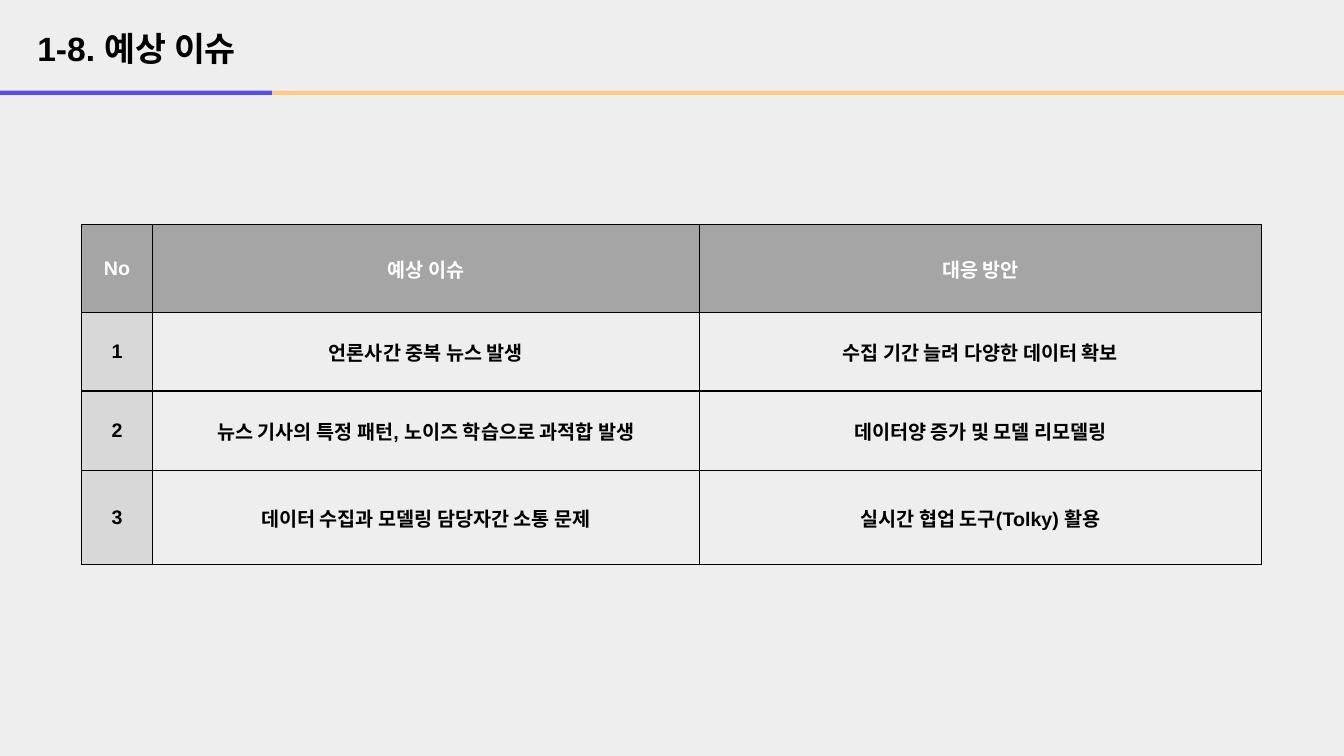
from lxml import etree
from pptx import Presentation
from pptx import util as u
from pptx.dml.color import RGBColor
from pptx.enum import shapes, text
from pptx.oxml import ns

COLORS = {
    "page": "EEEEEE",
    "ink": "000000",
    "header_text": "FFFFFF",
    "header": "A5A5A5",
    "number": "D8D8D8",
    "blue": "4949E8",
    "orange": "FFC785",
}
FONT = "Arial"
COLUMN_WIDTHS = [0.7, 5.43, 5.57]
ROW_HEIGHTS = [0.87, 0.78, 0.79, 0.93]
ISSUES = [
    ["No", "예상 이슈", "대응 방안"],
    ["1", "언론사간 중복 뉴스 발생", "수집 기간 늘려 다양한 데이터 확보"],
    ["2", "뉴스 기사의 특정 패턴, 노이즈 학습으로 과적합 발생", "데이터양 증가 및 모델 리모델링"],
    ["3", "데이터 수집과 모델링 담당자간 소통 문제", "실시간 협업 도구(Tolky) 활용"],
]


def color(name):
    """Return the named colour."""
    return RGBColor.from_string(COLORS[name])


def write(frame, words, size, ink, align):
    """Put one bold paragraph into a text frame."""
    frame.text = words
    para = frame.paragraphs[0]
    para.alignment = align
    for span in para.runs:
        span.font.name = FONT
        span.font.size = u.Pt(size)
        span.font.bold = True
        span.font.color.rgb = color(ink)


def add_title(page, words):
    """Move and fill the title placeholder."""
    title = page.shapes.title
    title.left, title.top = u.Inches(0.27), u.Inches(0.23)
    title.width, title.height = u.Inches(3.81), u.Inches(0.5)
    frame = title.text_frame
    frame.auto_size = text.MSO_AUTO_SIZE.NONE
    frame.vertical_anchor = text.MSO_ANCHOR.TOP
    write(frame, words, 24, "ink", text.PP_ALIGN.LEFT)


def add_rule(page, start, end, ink):
    """Draw one slightly transparent part of the rule under the title."""
    height = u.Inches(0.92)
    rule = page.shapes.add_connector(
        shapes.MSO_CONNECTOR.STRAIGHT, u.Inches(start), height, u.Inches(end), height)
    rule.line.width = u.Pt(3)
    rule.line.color.rgb = color(ink)
    properties = rule._element.spPr
    tint = next(properties.iter(ns.qn("a:srgbClr")))
    etree.SubElement(tint, ns.qn("a:alpha"), val="95000")
    etree.SubElement(properties, ns.qn("a:effectLst"))


def add_borders(cell):
    """Draw a thin line on every side of a cell."""
    properties = cell._tc.get_or_add_tcPr()
    for side in ("lnL", "lnR", "lnT", "lnB"):
        line = etree.SubElement(properties, ns.qn(f"a:{side}"), w=str(u.Pt(1)))
        fill = etree.SubElement(line, ns.qn("a:solidFill"))
        etree.SubElement(fill, ns.qn("a:srgbClr"), val=COLORS["ink"])


def format_cell(cell, words, ink, fill):
    """Write, outline and fill one table cell."""
    cell.vertical_anchor = text.MSO_ANCHOR.MIDDLE
    write(cell.text_frame, words, 14, ink, text.PP_ALIGN.CENTER)
    add_borders(cell)
    if fill:
        cell.fill.solid()
        cell.fill.fore_color.rgb = color(fill)
    else:
        cell.fill.background()


def add_issue_table(page):
    """Add the table of expected issues and responses."""
    table = page.shapes.add_table(
        len(ISSUES), len(COLUMN_WIDTHS), u.Inches(0.81), u.Inches(2.23),
        u.Inches(sum(COLUMN_WIDTHS)), u.Inches(sum(ROW_HEIGHTS))).table
    table.horz_banding = False
    for column, width in zip(table.columns, COLUMN_WIDTHS):
        column.width = u.Inches(width)
    for row_index, (row, height) in enumerate(zip(table.rows, ROW_HEIGHTS)):
        row.height = u.Inches(height)
        for column_index, cell in enumerate(row.cells):
            ink, fill = "ink", None
            if row_index == 0:
                ink, fill = "header_text", "header"
            elif column_index == 0:
                fill = "number"
            format_cell(cell, ISSUES[row_index][column_index], ink, fill)


def main():
    """Build and save the slide."""
    deck = Presentation()
    deck.slide_width, deck.slide_height = u.Inches(13.33), u.Inches(7.5)
    page = deck.slides.add_slide(deck.slide_layouts[5])
    page.background.fill.solid()
    page.background.fill.fore_color.rgb = color("page")
    add_title(page, "1-8. 예상 이슈")
    add_rule(page, 0, 2.7, "blue")
    add_rule(page, 2.7, 13.33, "orange")
    add_issue_table(page)
    deck.save("out.pptx")


if __name__ == "__main__":
    main()
